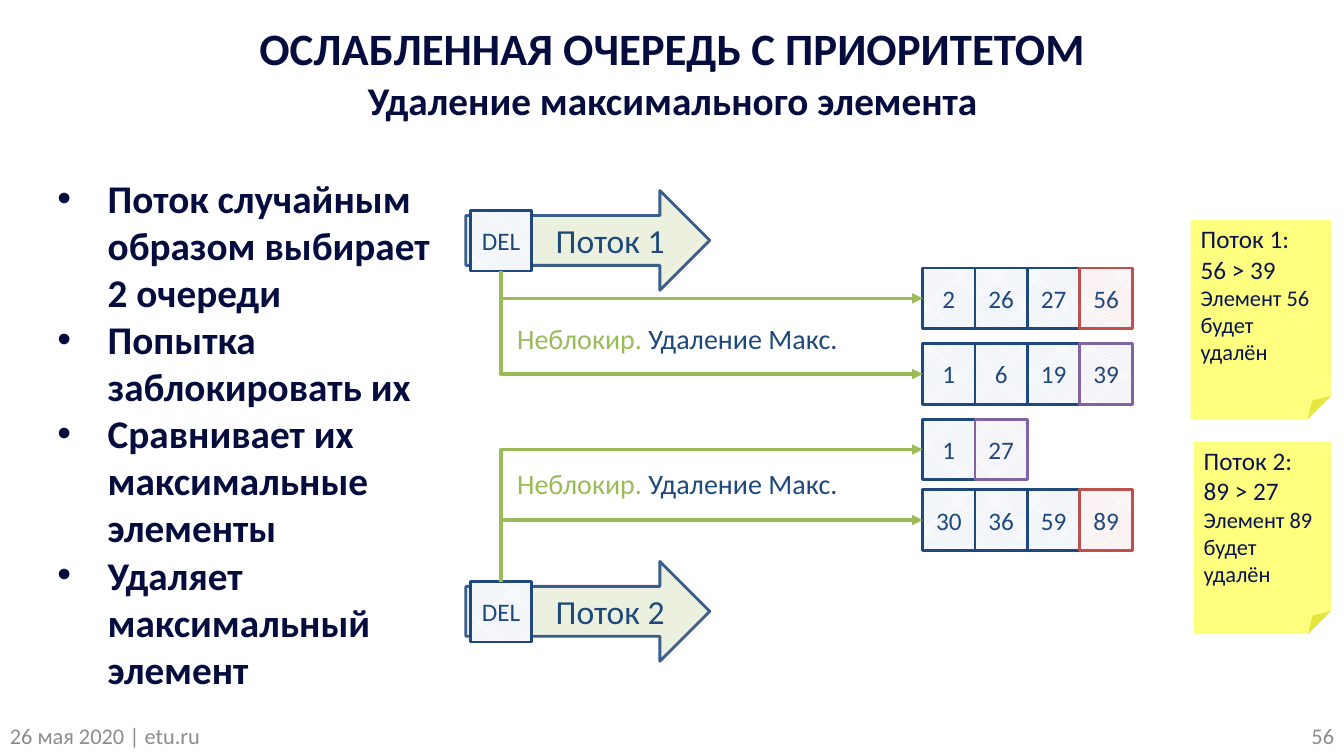
from dataclasses import dataclass

from lxml import etree
from pptx import Presentation
from pptx import util as u
from pptx.dml.color import RGBColor
from pptx.enum import dml, shapes, text
from pptx.oxml import ns


@dataclass(frozen=True)
class Theme:
    font: str = "Calibri"
    heading: str = "050D3F"
    note_text: str = "07144D"
    note_fill: str = "FFFF00"
    footer: str = "8C8C8C"
    blue: str = "1F497D"
    arrow_fill: str = "EBF1DE"
    arrow_line: str = "3A5F8C"
    green: str = "9BBB59"
    white: str = "FFFFFF"
    title_size: int = 32
    body_size: int = 28
    arrow_size: int = 24
    label_size: int = 20
    cell_size: int = 18
    small_size: int = 16


THEME = Theme()
# Pattern colour and outline of each kind of cell
CELL_STYLES = {
    "plain": ("DCE6F2", THEME.blue),
    "winner": ("F2DCDB", "C0504D"),
    "loser": ("E6E0EC", "8064A2"),
}
CELL_WIDTH, CELL_HEIGHT, QUEUE_LEFT = 0.52, 0.6, 9.15


def color(value):
    return RGBColor.from_string(value)


def set_values(target, values):
    for name, value in values.items():
        setattr(target, name, value)


def add_child(parent, tag, **attributes):
    return etree.SubElement(parent, ns.qn(tag), attributes)


def write(shape, paragraphs, align=text.PP_ALIGN.LEFT, bullet=False, **frame_format):
    """Fill a shape with paragraphs, each a list of (text, size, colour, bold) runs."""
    frame = shape.text_frame
    set_values(frame, {"word_wrap": True, **frame_format})
    for index, runs in enumerate(paragraphs):
        paragraph = frame.paragraphs[0] if index == 0 else frame.add_paragraph()
        paragraph.alignment = align
        if bullet:
            properties = paragraph._p.get_or_add_pPr()
            indent = u.Inches(0.5)
            properties.set("marL", str(indent))
            properties.set("indent", str(-indent))
            add_child(properties, "a:buFont", typeface="Arial")
            add_child(properties, "a:buChar", char="•")
        for content, size, ink, bold in runs:
            run = paragraph.add_run()
            run.text = content
            set_values(run.font, {"name": THEME.font, "size": u.Pt(size), "bold": bold})
            run.font.color.rgb = color(ink)


def add_text(slide, box, paragraphs, **options):
    textbox = slide.shapes.add_textbox(*map(u.Inches, box))
    write(textbox, paragraphs, **options)


def add_shape(slide, kind, box, line=None):
    shape = slide.shapes.add_shape(kind, *map(u.Inches, box))
    shape.shadow.inherit = False
    if line:
        shape.line.color.rgb = color(line)
        shape.line.width = u.Pt(2)
    else:
        shape.line.fill.background()
    return shape


def add_cell(slide, box, label, style="plain"):
    pattern_color, line = CELL_STYLES[style]
    cell = add_shape(slide, shapes.MSO_SHAPE.RECTANGLE, box, line)
    cell.fill.patterned()
    cell.fill.pattern = dml.MSO_PATTERN.SMALL_CHECKER_BOARD
    cell.fill.fore_color.rgb = color(pattern_color)
    cell.fill.back_color.rgb = color(THEME.white)
    write(cell, [[(label, THEME.cell_size, THEME.blue, False)]],
          align=text.PP_ALIGN.CENTER, vertical_anchor=text.MSO_ANCHOR.MIDDLE,
          margin_left=0, margin_right=0)
    return cell


def add_queue(slide, top, values, last_style):
    """Draw a row of cells, the last one highlighted, and return the first cell."""
    styles = ["plain"] * (len(values) - 1) + [last_style]
    cells = [
        add_cell(slide, (QUEUE_LEFT + index * CELL_WIDTH, top, CELL_WIDTH, CELL_HEIGHT),
                 str(value), style)
        for index, (value, style) in enumerate(zip(values, styles))
    ]
    return cells[0]


def add_thread(slide, top, label):
    arrow = add_shape(slide, shapes.MSO_SHAPE.RIGHT_ARROW, (4.62, top, 2.42, 0.99),
                      THEME.arrow_line)
    arrow.fill.solid()
    arrow.fill.fore_color.rgb = color(THEME.arrow_fill)
    write(arrow, [[(label, THEME.arrow_size, THEME.blue, False)]],
          align=text.PP_ALIGN.CENTER, vertical_anchor=text.MSO_ANCHOR.MIDDLE,
          margin_left=u.Inches(0.79), margin_right=u.Inches(0.1))
    return add_cell(slide, (4.67, top + 0.2, 0.6, CELL_HEIGHT), "DEL")


def add_elbow(slide, source, target, downward):
    """Join source to target with one vertical and one horizontal stretch."""
    x1 = source.left + source.width // 2
    y1 = source.top + (source.height if downward else 0)
    x2, y2 = target.left, target.top + target.height // 2
    connector = slide.shapes.add_connector(shapes.MSO_CONNECTOR.ELBOW, x1, y1, x2, y2)
    connector.begin_connect(source, 2 if downward else 0)
    connector.end_connect(target, 1)
    connector.line.color.rgb = color(THEME.green)
    connector.line.width = u.Pt(2.5)
    properties = connector._element.spPr
    add_child(properties.find(ns.qn("a:ln")), "a:tailEnd", type="triangle")
    add_child(properties, "a:effectLst")
    properties.find(ns.qn("a:prstGeom")).set("prst", "bentConnector2")

    # The one-bend preset is turned a quarter, so its width is the vertical run
    width, height = abs(y2 - y1), x2 - x1
    set_values(connector, {
        "left": (x1 + x2 - width) // 2, "top": (y1 + y2 - height) // 2,
        "width": width, "height": height,
    })
    transform = properties.find(ns.qn("a:xfrm"))
    transform.set("rot", str((270 if downward else 90) * 60000))
    transform.set("flipH", "1")
    transform.set("flipV", "0" if downward else "1")


def add_note(slide, box, thread, comparison, result):
    note = add_shape(slide, shapes.MSO_SHAPE.FOLDED_CORNER, box)
    note.fill.solid()
    note.fill.fore_color.rgb = color(THEME.note_fill)
    fill_color = note._element.spPr.find(ns.qn("a:solidFill"))[0]
    add_child(fill_color, "a:alpha", val="50000")
    sizes = (THEME.cell_size, THEME.cell_size, THEME.small_size)
    write(note, [[(line, size, THEME.note_text, False)]
                 for line, size in zip((thread, comparison, result), sizes)],
          vertical_anchor=text.MSO_ANCHOR.TOP, margin_top=u.Inches(0.04))


def add_headings(slide):
    headings = (
        (0.18, 0.58, "ОСЛАБЛЕННАЯ ОЧЕРЕДЬ С ПРИОРИТЕТОМ", THEME.title_size),
        (0.76, 0.47, "Удаление максимального элемента", THEME.body_size),
    )
    for top, height, heading, size in headings:
        add_text(slide, (0.37, top, 12.6, height), [[(heading, size, THEME.heading, True)]],
                 align=text.PP_ALIGN.CENTER, vertical_anchor=text.MSO_ANCHOR.MIDDLE)


def add_footer(slide):
    for left, label, align in ((0, "26 мая 2020 | etu.ru", text.PP_ALIGN.LEFT),
                               (10.22, "56", text.PP_ALIGN.RIGHT)):
        add_text(slide, (left, 7.1, 3.11, 0.4),
                 [[(label, THEME.small_size, THEME.footer, False)]],
                 align=align, vertical_anchor=text.MSO_ANCHOR.MIDDLE)


def main():
    presentation = Presentation()
    presentation.slide_width, presentation.slide_height = u.Inches(13.33), u.Inches(7.5)
    slide = presentation.slides.add_slide(presentation.slide_layouts[6])
    add_footer(slide)
    add_headings(slide)
    steps = ("Поток случайным образом выбирает 2 очереди", "Попытка заблокировать их",
             "Сравнивает их максимальные элементы", "Удаляет максимальный элемент")
    add_text(slide, (0.47, 1.68, 4.09, 5.28),
             [[(step, THEME.body_size, THEME.heading, True)] for step in steps], bullet=True)

    threads = (
        ("Поток 1", 1.89, 3.14, True,
         ((3.41, (1, 6, 19, 39), "loser"), (2.66, (2, 26, 27, 56), "winner"))),
        ("Поток 2", 5.57, 4.58, False,
         ((4.16, (1, 27), "loser"), (4.86, (30, 36, 59, 89), "winner"))),
    )
    for name, top, label_top, downward, queues in threads:
        delete_cell = add_thread(slide, top, name)
        for queue_top, values, last_style in queues:
            first_cell = add_queue(slide, queue_top, values, last_style)
            add_elbow(slide, delete_cell, first_cell, downward)
        add_text(slide, (5.03, label_top, 3.45, 0.44),
                 [[("Неблокир. ", THEME.label_size, THEME.green, False),
                   ("Удаление Макс.", THEME.label_size, THEME.blue, False)]], word_wrap=False)

    add_note(slide, (11.81, 2.18, 1.39, 1.98), "Поток 1:", "56 > 39", "Элемент 56 будет удалён")
    add_note(slide, (11.84, 4.38, 1.36, 1.91), "Поток 2:", "89 > 27", "Элемент 89 будет удалён")
    presentation.save("out.pptx")


if __name__ == "__main__":
    main()
